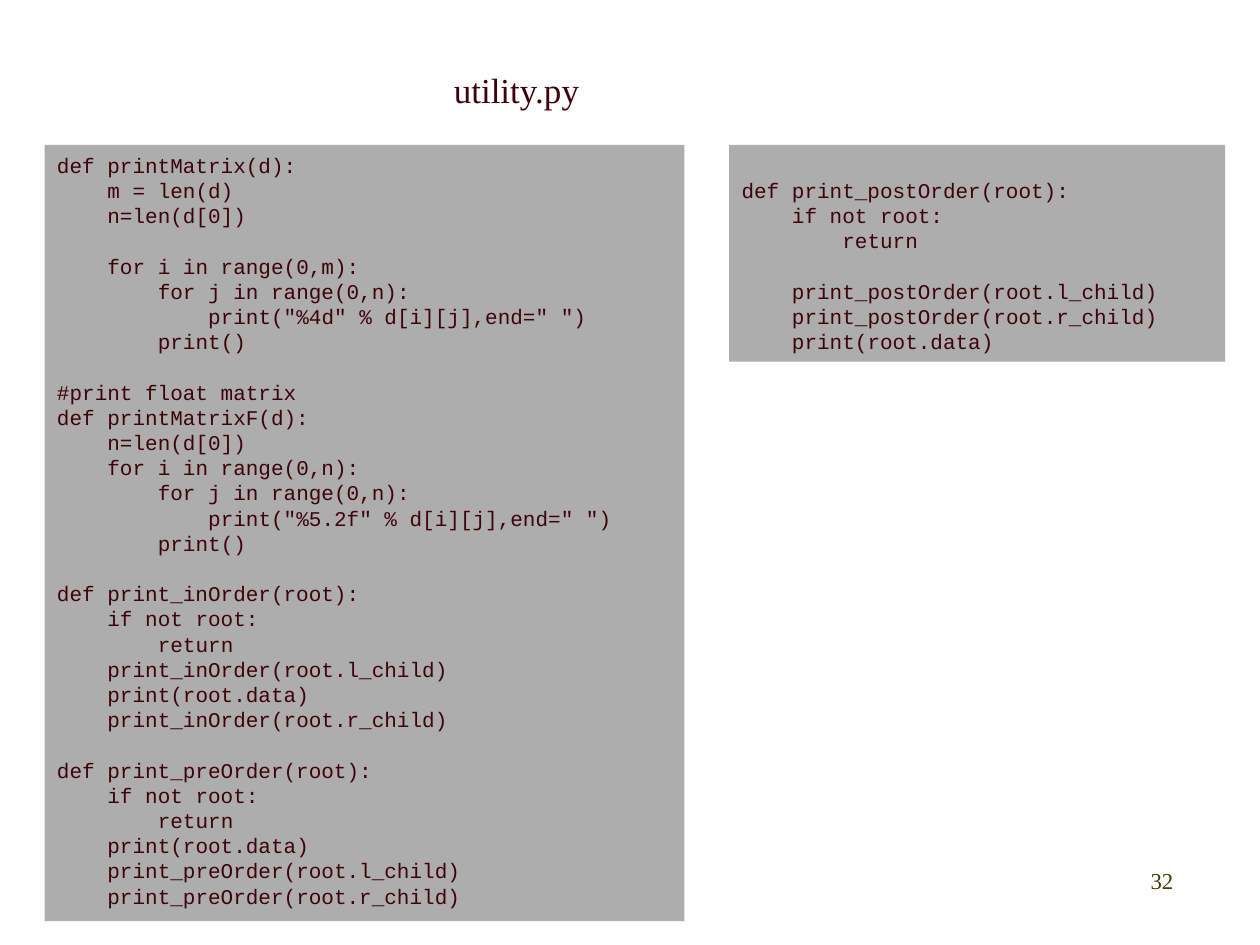
from pptx import Presentation
from pptx.dml.color import RGBColor
from pptx.enum.shapes import MSO_SHAPE as Shape
from pptx.enum.text import MSO_ANCHOR as Anchor, PP_ALIGN as Align
from pptx.util import Cm, Pt

COLORS = {"panel": "ADADAD", "ink": "3E020C", "number": "3F3E00"}
CODE_SIZE = 12
LINE_PITCH = 14.4
CHAR_WIDTH = 7.2

MATRIX_AND_TREE_CODE = '''\
def printMatrix(d):
    m = len(d)
    n=len(d[0])

    for i in range(0,m):
        for j in range(0,n):
            print("%4d" % d[i][j],end=" ")
        print()

#print float matrix
def printMatrixF(d):
    n=len(d[0])
    for i in range(0,n):
        for j in range(0,n):
            print("%5.2f" % d[i][j],end=" ")
        print()

def print_inOrder(root):
    if not root:
        return
    print_inOrder(root.l_child)
    print(root.data)
    print_inOrder(root.r_child)

def print_preOrder(root):
    if not root:
        return
    print(root.data)
    print_preOrder(root.l_child)
    print_preOrder(root.r_child)'''

POST_ORDER_CODE = '''\
def print_postOrder(root):
    if not root:
        return

    print_postOrder(root.l_child)
    print_postOrder(root.r_child)
    print(root.data)'''


def style(paragraph, face, size, color):
    """Set the font of a whole paragraph."""
    paragraph.font.name = face
    paragraph.font.size = Pt(size)
    paragraph.font.color.rgb = RGBColor.from_string(COLORS[color])


def add_label(slide, box, text, size, color, align=Align.LEFT):
    """Place one line of serif text in the box and return its paragraph."""
    frame = slide.shapes.add_textbox(*map(Cm, box)).text_frame
    frame.word_wrap = True
    label = frame.paragraphs[0]
    label.text = text
    label.alignment = align
    style(label, "Times New Roman", size, color)
    return label


def add_code_panel(slide, box, code, lines_above=0):
    """Draw a grey panel with code, indented by level and spaced at empty lines."""
    panel = slide.shapes.add_shape(Shape.RECTANGLE, *map(Cm, box))
    panel.shadow.inherit = False
    panel.fill.solid()
    panel.fill.fore_color.rgb = RGBColor.from_string(COLORS["panel"])
    panel.line.fill.background()
    frame = panel.text_frame
    frame.word_wrap = True
    frame.vertical_anchor = Anchor.TOP
    frame.margin_top = Cm(0.15) + Pt(lines_above * LINE_PITCH)
    gap = 0
    statement = frame.paragraphs[0]
    for line in code.splitlines():
        if not line:
            gap = LINE_PITCH
            continue
        if statement.text:
            statement = frame.add_paragraph()
        statement.text = line.lstrip()
        statement.alignment = Align.LEFT
        statement.line_spacing = Pt(LINE_PITCH)
        statement.space_before = Pt(gap)
        indent = len(line) - len(line.lstrip())
        properties = statement._p.get_or_add_pPr()
        properties.set("marL", str(Pt(indent * CHAR_WIDTH)))
        properties.set("indent", "0")
        style(statement, "Courier New", CODE_SIZE, "ink")
        gap = 0


def main():
    """Build the slide and save it."""
    deck = Presentation()
    deck.slide_width, deck.slide_height = Cm(25.4), Cm(19.05)
    slide = deck.slides.add_slide(deck.slide_layouts[6])
    add_label(slide, (18.62, 17.35, 5.28, 1.27), "32", 13, "number", Align.RIGHT)
    add_code_panel(slide, (0.9, 2.92, 12.9, 15.65), MATRIX_AND_TREE_CODE)
    add_code_panel(slide, (14.7, 2.92, 10, 4.37), POST_ORDER_CODE, lines_above=1)
    title = add_label(slide, (8.9, 1.12, 3.05, 1.17), "utility.py", 20, "ink")
    title.line_spacing = Pt(28)
    deck.save("out.pptx")


if __name__ == "__main__":
    main()
